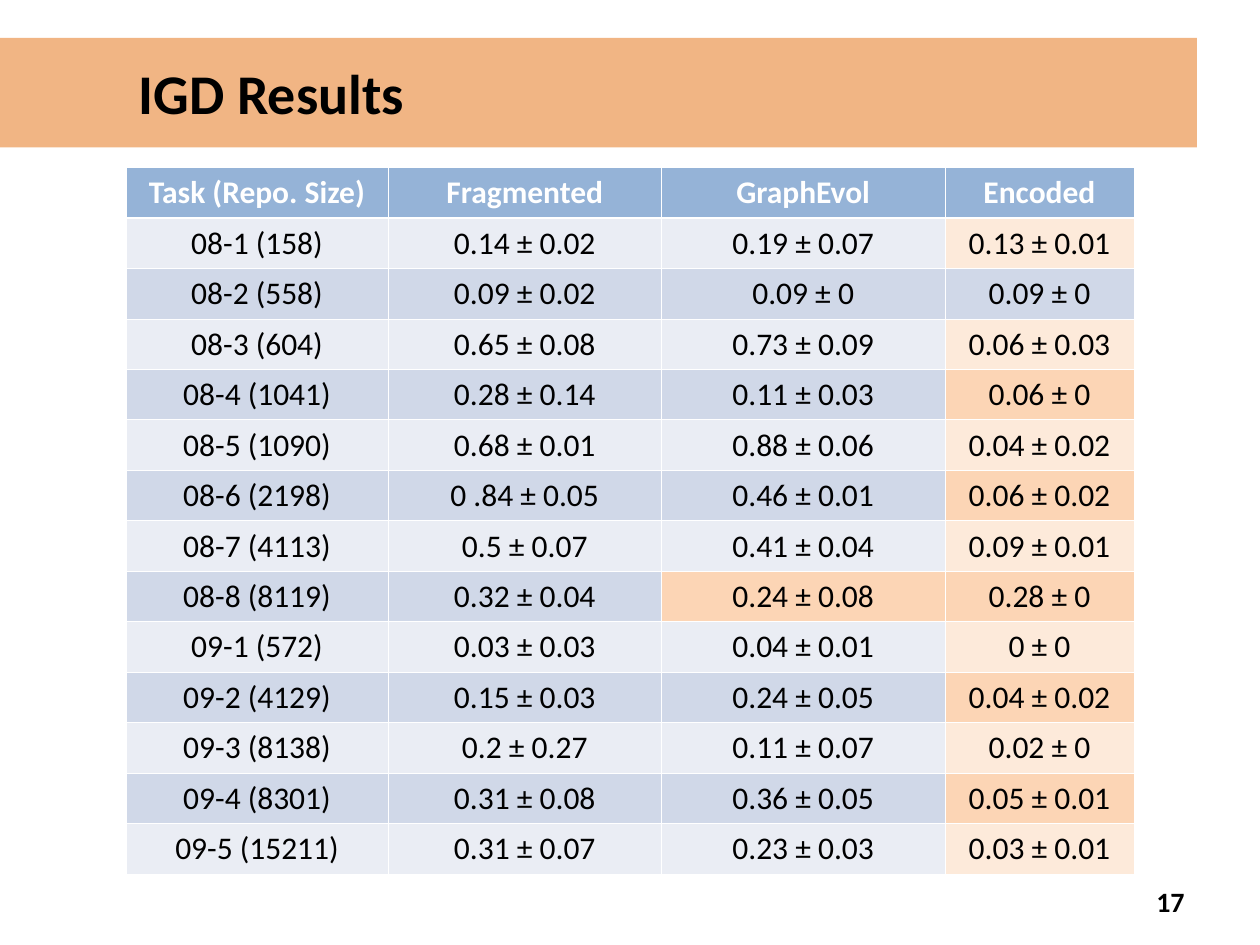
from lxml import etree
from pptx import Presentation
from pptx import util as u
from pptx.dml.color import RGBColor
from pptx.enum import text
from pptx.oxml.ns import qn

COLORS = {
    "banner": "E46C0A", "ink": "000000", "white": "FFFFFF", "header": "95B3D7",
    "odd": "EAEDF4", "even": "D0D8E8", "best_odd": "FDEADA", "best_even": "FCD5B5",
}
WIDTH, HEIGHT = 10, 7.5
COLUMN_WIDTHS = (2.08, 2.17, 2.25, 1.5)
HEADINGS = ("Task (Repo. Size)", "Fragmented", "GraphEvol", "Encoded")
# Task, one result per method, and the columns highlighted as best
RESULTS = (
    ("08-1 (158)", "0.14 ± 0.02", "0.19 ± 0.07", "0.13 ± 0.01", {3}),
    ("08-2 (558)", "0.09 ± 0.02", "0.09 ± 0", "0.09 ± 0", set()),
    ("08-3 (604)", "0.65 ± 0.08", "0.73 ± 0.09", "0.06 ± 0.03", {3}),
    ("08-4 (1041)", "0.28 ± 0.14", "0.11 ± 0.03", "0.06 ± 0", {3}),
    ("08-5 (1090)", "0.68 ± 0.01", "0.88 ± 0.06", "0.04 ± 0.02", {3}),
    ("08-6 (2198)", "0 .84 ± 0.05", "0.46 ± 0.01", "0.06 ± 0.02", {3}),
    ("08-7 (4113)", "0.5 ± 0.07", "0.41 ± 0.04", "0.09 ± 0.01", {3}),
    ("08-8 (8119)", "0.32 ± 0.04", "0.24 ± 0.08", "0.28 ± 0", {2, 3}),
    ("09-1 (572)", "0.03 ± 0.03", "0.04 ± 0.01", "0 ± 0", {3}),
    ("09-2 (4129)", "0.15 ± 0.03", "0.24 ± 0.05", "0.04 ± 0.02", {3}),
    ("09-3 (8138)", "0.2 ± 0.27", "0.11 ± 0.07", "0.02 ± 0", {3}),
    ("09-4 (8301)", "0.31 ± 0.08", "0.36 ± 0.05", "0.05 ± 0.01", {3}),
    ("09-5 (15211)", "0.31 ± 0.07", "0.23 ± 0.03", "0.03 ± 0.01", {3}),
)


def rgb(name):
    return RGBColor.from_string(COLORS[name])


def write(frame, words, size=18, color="ink", bold=False, align="CENTER"):
    paragraph = frame.paragraphs[0]
    paragraph.alignment = getattr(text.PP_ALIGN, align)
    run = paragraph.add_run()
    run.text = words
    run.font.name, run.font.size, run.font.bold = "Calibri", u.Pt(size), bold
    run.font.color.rgb = rgb(color)


def add_banner(slide, box, words):
    banner = slide.shapes.title
    banner.left, banner.top, banner.width, banner.height = map(u.Inches, box)
    banner.fill.solid()
    banner.fill.fore_color.rgb = rgb("banner")
    tint = banner.fill._xPr.find(qn("a:solidFill"))[0]
    etree.SubElement(tint, qn("a:alpha"), val="50000")
    frame = banner.text_frame
    frame.auto_size = text.MSO_AUTO_SIZE.NONE
    frame.vertical_anchor = text.MSO_ANCHOR.MIDDLE
    frame.margin_left = u.Inches(1.1)
    write(frame, words, size=32, bold=True, align="LEFT")


def add_page_number(slide, box, number):
    frame = slide.shapes.add_textbox(*map(u.Inches, box)).text_frame
    frame.word_wrap = True
    frame.vertical_anchor = text.MSO_ANCHOR.MIDDLE
    write(frame, number, size=16, bold=True, align="RIGHT")


def border_cell(cell, top=0.45, bottom=0.45):
    """Draw white borders; call before the fill is set, as the schema orders them."""
    properties = cell._tc.get_or_add_tcPr()
    for side, points in zip("LRTB", (0.45, 0.45, top, bottom)):
        line = etree.SubElement(properties, qn(f"a:ln{side}"), w=str(u.Pt(points)))
        paint = etree.SubElement(line, qn("a:solidFill"))
        etree.SubElement(paint, qn("a:srgbClr"), val=COLORS["white"])


def fill_cell(cell, words, fill, **font):
    cell.fill.solid()
    cell.fill.fore_color.rgb = rgb(fill)
    write(cell.text_frame, words, **font)


def add_results(slide, box):
    table = slide.shapes.add_table(
        len(RESULTS) + 1, len(HEADINGS), *map(u.Inches, box)).table
    for column, width in zip(table.columns, COLUMN_WIDTHS):
        column.width = u.Inches(width)
    for c, heading in enumerate(HEADINGS):
        cell = table.cell(0, c)
        border_cell(cell, bottom=1.47)
        fill_cell(cell, heading, "header", color="white", bold=True)
    for r, (*values, best) in enumerate(RESULTS, start=1):
        band = "odd" if r % 2 else "even"
        for c, value in enumerate(values):
            cell = table.cell(r, c)
            border_cell(cell, top=1.47 if r == 1 else 0.45)
            fill_cell(cell, value, f"best_{band}" if c in best else band)


def main():
    deck = Presentation()
    deck.slide_width, deck.slide_height = u.Inches(WIDTH), u.Inches(HEIGHT)
    slide = deck.slides.add_slide(deck.slide_layouts.get_by_name("Title Only"))
    add_banner(slide, (0, 0.04 * HEIGHT, 0.95 * WIDTH, 0.87), "IGD Results")
    add_page_number(slide, (7.17, 6.95, 2.33, 0.4), "17")
    add_results(slide, (0.1 * WIDTH, 1.33, sum(COLUMN_WIDTHS), 5.6))
    deck.save("out.pptx")


if __name__ == "__main__":
    main()
